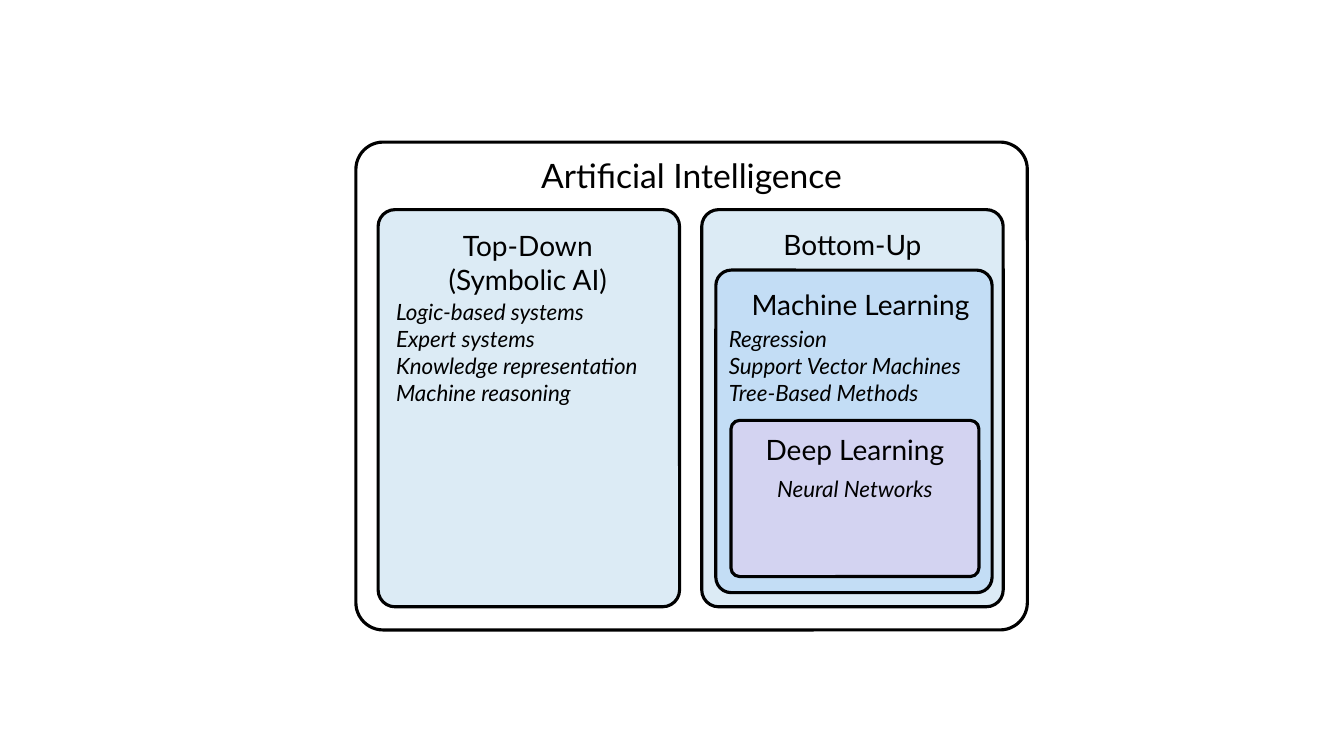
import dataclasses

import pptx
import pptx.dml.color
import pptx.enum.shapes
import pptx.enum.text
import pptx.util

Inches = pptx.util.Inches
Align = pptx.enum.text.PP_ALIGN

FONT = "Lato"
HEX = {
    "black": "000000",
    "white": "FFFFFF",
    "pale": "DCEBF5",
    "blue": "C3DDF5",
    "violet": "D3D3F1",
}


@dataclasses.dataclass
class Panel:
    left: float
    top: float
    width: float
    height: float
    fill: str


@dataclasses.dataclass
class Label:
    left: float
    top: float
    width: float
    height: float
    text: str
    size: int = 20
    italic: bool = False
    align: Align = Align.CENTER


PANELS = [
    Panel(3.53, 1.41, 6.66, 4.84, "white"),
    Panel(3.75, 2.08, 2.99, 3.94, "pale"),
    Panel(6.96, 2.08, 2.99, 3.94, "pale"),
    Panel(7.1, 2.68, 2.74, 3.2, "blue"),
    Panel(7.25, 4.17, 2.46, 1.55, "violet"),
]

LABELS = [
    Label(3.53, 1.49, 6.66, 0.5, "Artificial Intelligence", size=24),
    Label(3.74, 2.22, 2.99, 0.77, "Top-Down\n(Symbolic AI)"),
    Label(3.83, 2.91, 2.85, 1.18,
          "Logic-based systems\nExpert systems\n"
          "Knowledge representation\nMachine reasoning",
          size=16, italic=True, align=Align.LEFT),
    Label(6.96, 2.21, 2.99, 0.44, "Bottom-Up"),
    Label(6.43, 2.8, 4.21, 0.44, "Machine Learning"),
    Label(7.13, 3.18, 3.38, 0.94,
          "Regression\nSupport Vector Machines\nTree-Based Methods",
          size=16, italic=True, align=Align.LEFT),
    Label(7.25, 4.24, 2.46, 0.44, "Deep Learning"),
    Label(7.25, 4.66, 2.46, 0.37, "Neural Networks", size=16, italic=True),
]


def color(name: str) -> pptx.dml.color.RGBColor:
    return pptx.dml.color.RGBColor.from_string(HEX[name])


def place(item: Panel | Label) -> tuple[int, ...]:
    """Give the left, top, width and height of an item as lengths."""
    return tuple(map(Inches, (item.left, item.top, item.width, item.height)))


def draw_panel(slide: pptx.slide.Slide, panel: Panel) -> None:
    shape = slide.shapes.add_shape(
        pptx.enum.shapes.MSO_SHAPE.ROUNDED_RECTANGLE, *place(panel))
    shape.adjustments[0] = 0.056
    shape.shadow.inherit = False
    shape.fill.solid()
    shape.fill.fore_color.rgb = color(panel.fill)
    shape.line.color.rgb = color("black")
    shape.line.width = pptx.util.Pt(2.25)


def draw_label(slide: pptx.slide.Slide, label: Label) -> None:
    frame = slide.shapes.add_textbox(*place(label)).text_frame
    frame.word_wrap = True
    frame.auto_size = pptx.enum.text.MSO_AUTO_SIZE.SHAPE_TO_FIT_TEXT
    frame.text = label.text
    for para in frame.paragraphs:
        para.alignment = label.align
        for run in para.runs:
            run.font.name = FONT
            run.font.size = pptx.util.Pt(label.size)
            run.font.italic = label.italic
            run.font.color.rgb = color("black")


def main() -> None:
    deck = pptx.Presentation()
    deck.slide_width = Inches(13.33)
    deck.slide_height = Inches(7.5)
    slide = deck.slides.add_slide(deck.slide_layouts[6])
    for panel in PANELS:
        draw_panel(slide, panel)
    for label in LABELS:
        draw_label(slide, label)
    deck.save("out.pptx")


if __name__ == "__main__":
    main()
